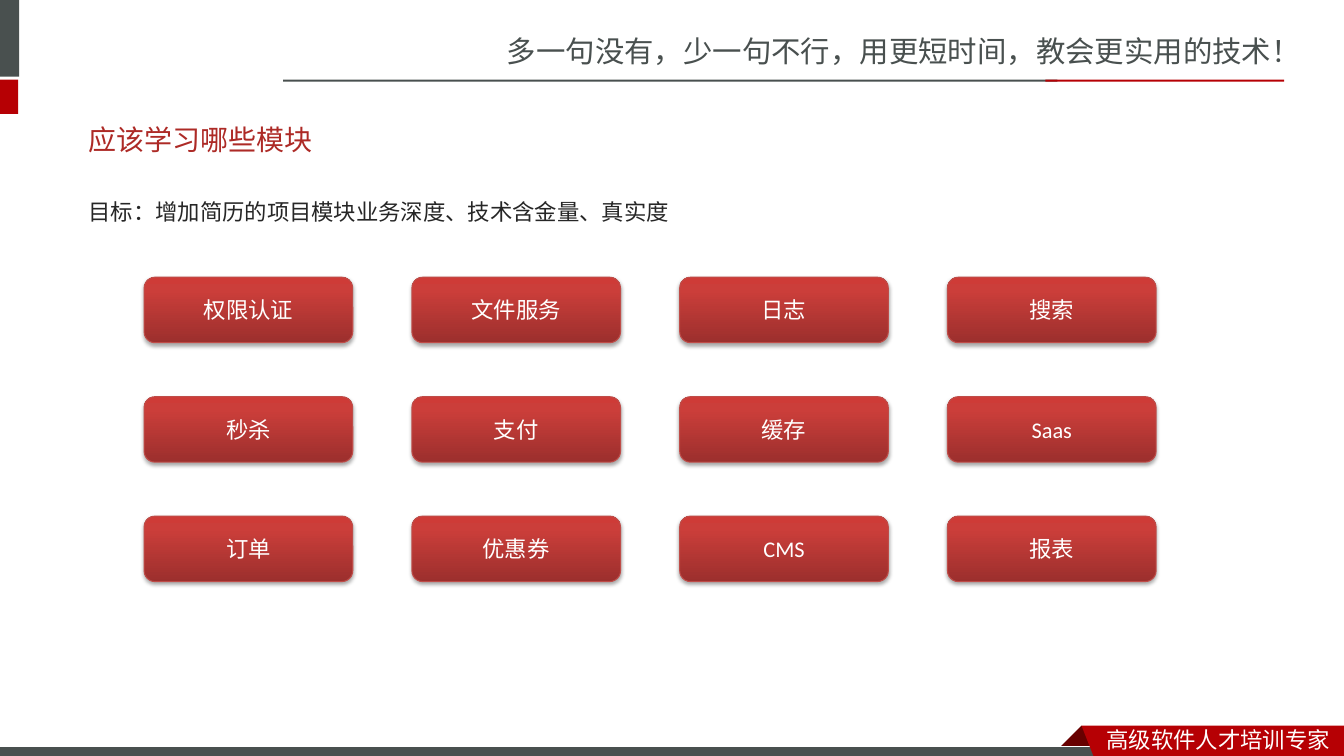
from dataclasses import dataclass

from pptx import Presentation
from pptx.dml.color import RGBColor
from pptx.enum.shapes import MSO_SHAPE
from pptx.enum.text import MSO_ANCHOR, PP_ALIGN
from pptx.oxml import parse_xml
from pptx.oxml.ns import nsdecls, qn
from pptx.util import Inches, Pt

COLUMNS, ROWS = 160, 90
UNIT = Inches(7.5) / ROWS


@dataclass(frozen=True)
class Theme:
    gray: str = "49504F"
    red: str = "B60004"
    fold: str = "680000"
    white: str = "FFFFFF"
    title: str = "AD2A26"
    ink: str = "262626"
    card_line: str = "BF4C48"
    card_stops: tuple = ((0, "9C2F2D"), (80, "CB3E3A"), (100, "CE3B37"))
    slogan_size: int = 21
    title_size: int = 20
    text_size: int = 16
    line_width: float = 0.75
    brand_font: str = "Noto Sans CJK SC"
    title_font: str = "Arial"
    body_font: str = "Noto Sans CJK JP"
    card_font: str = "Calibri"


@dataclass(frozen=True)
class Box:
    left: float
    top: float
    width: float
    height: float

    def inner(self, left, top, width, height):
        return Box(self.left + left, self.top + top, width, height)

    def frame(self):
        return [round(side * UNIT) for side in (self.left, self.top, self.width, self.height)]


THEME = Theme()
MODULES = (
    ("权限认证", "文件服务", "日志", "搜索"),
    ("秒杀", "支付", "缓存", "Saas"),
    ("订单", "优惠券", "CMS", "报表"),
)


def write(shape, text, *, font, size, color, align=PP_ALIGN.LEFT,
          anchor=MSO_ANCHOR.TOP, wrap=True, spacing=None, before=None):
    frame = shape.text_frame
    frame.word_wrap = wrap
    frame.vertical_anchor = anchor
    para = frame.paragraphs[0]
    para.alignment = align
    if spacing:
        para.line_spacing = spacing
    if before:
        para.space_before = Pt(before)
    span = para.add_run()
    span.text = text
    span.font.name = font
    span.font.size = Pt(size)
    span.font.color.rgb = RGBColor.from_string(color)
    east_asian = span.font._element.makeelement(qn("a:ea"), {"typeface": font})
    span.font._element.append(east_asian)


def add_text(page, box, text, **style):
    write(page.shapes.add_textbox(*box.frame()), text, **style)


def outline(shape, color):
    if color:
        shape.line.color.rgb = RGBColor.from_string(color)
        shape.line.width = Pt(THEME.line_width)
    else:
        shape.line.fill.background()


def paint(shape, color, line=None):
    shape.shadow.inherit = False
    shape.fill.solid()
    shape.fill.fore_color.rgb = RGBColor.from_string(color)
    outline(shape, line)


def add_bar(page, box, color, line=None):
    paint(page.shapes.add_shape(MSO_SHAPE.RECTANGLE, *box.frame()), color, line)


def add_polygon(page, box, points, color):
    spots = [((box.left + x) * UNIT, (box.top + y) * UNIT) for x, y in points]
    builder = page.shapes.build_freeform(*spots[0])
    builder.add_line_segments(spots[1:], close=True)
    paint(builder.convert_to_shape(), color)


def add_header(page, box):
    add_text(page, box.inner(59.16, 3.36, 100.84, 5.64),
             "多一句没有，少一句不行，用更短时间，教会更实用的技术！",
             font=THEME.brand_font, size=THEME.slogan_size, color=THEME.gray, wrap=False)
    add_bar(page, box.inner(-0.72, 0, 3, 9.12), THEME.gray)
    add_bar(page, box.inner(-0.72, 9.48, 2.88, 4.08), THEME.red)
    add_bar(page, box.inner(33.72, 9.48, 92.16, 0.24), THEME.gray)
    add_bar(page, box.inner(124.44, 9.48, 28.44, 0.24), THEME.red)


def add_footer(page, box):
    fold = ((128.76, 0), (131.4, 2.64), (131.28, 2.76), (126.24, 2.76), (126.12, 2.64))
    ribbon = ((128.76, 0), (160, 0), (160, 4.08), (130.32, 3.96))
    add_polygon(page, box, fold, THEME.fold)
    add_bar(page, box.inner(-0.12, 2.52, 132, 1.44), THEME.gray, line=THEME.white)
    add_polygon(page, box, ribbon, THEME.red)
    add_text(page, box.inner(130.56, -0.6, 29.4, 4.44), "高级软件人才培训专家",
             font=THEME.brand_font, size=THEME.text_size, color=THEME.white, wrap=False)


def add_heading(page, box):
    add_text(page, box.inner(0, 0, box.width, 6.84), "应该学习哪些模块",
             font=THEME.title_font, size=THEME.title_size, color=THEME.title,
             anchor=MSO_ANCHOR.MIDDLE)
    add_text(page, box.inner(0, 8.16, box.width, 7.68),
             "目标：增加简历的项目模块业务深度、技术含金量、真实度",
             font=THEME.body_font, size=THEME.text_size, color=THEME.ink,
             spacing=1.5, before=3.2)


def add_card(page, box, label):
    card = page.shapes.add_shape(MSO_SHAPE.ROUNDED_RECTANGLE, *box.frame())
    outline(card, THEME.card_line)
    stops = "".join(
        f'<a:gs pos="{share * 1000}"><a:srgbClr val="{color}"/></a:gs>'
        for share, color in THEME.card_stops)
    properties = card._element.spPr
    properties.insert(2, parse_xml(
        f'<a:gradFill {nsdecls("a")} rotWithShape="1"><a:gsLst>{stops}</a:gsLst>'
        '<a:lin ang="16200000" scaled="0"/></a:gradFill>'))
    card.shadow.inherit = False
    properties.find(qn("a:effectLst")).append(parse_xml(
        f'<a:outerShdw {nsdecls("a")} blurRad="{Pt(3.1)}" dist="{Pt(1.8)}" '
        'dir="5400000" rotWithShape="0"><a:srgbClr val="000000">'
        '<a:alpha val="35000"/></a:srgbClr></a:outerShdw>'))
    write(card, label, font=THEME.card_font, size=THEME.text_size, color=THEME.white,
          align=PP_ALIGN.CENTER, anchor=MSO_ANCHOR.MIDDLE)


def add_modules(page, box):
    width, height = 24.84, 7.8
    across = (box.width - width) / (len(MODULES[0]) - 1)
    down = (box.height - height) / (len(MODULES) - 1)
    for row, labels in enumerate(MODULES):
        for column, label in enumerate(labels):
            add_card(page, box.inner(column * across, row * down, width, height), label)


def main():
    deck = Presentation()
    deck.slide_width = round(COLUMNS * UNIT)
    deck.slide_height = round(ROWS * UNIT)
    page = deck.slides.add_slide(deck.slide_layouts[6])
    add_header(page, Box(0, 0, COLUMNS, 13.56))
    add_footer(page, Box(0, 86.4, COLUMNS, 3.6))
    add_heading(page, Box(9.36, 13.2, 140.4, 15.84))
    add_modules(page, Box(17.16, 33, 120.48, 36.24))
    deck.save("out.pptx")


if __name__ == "__main__":
    main()
